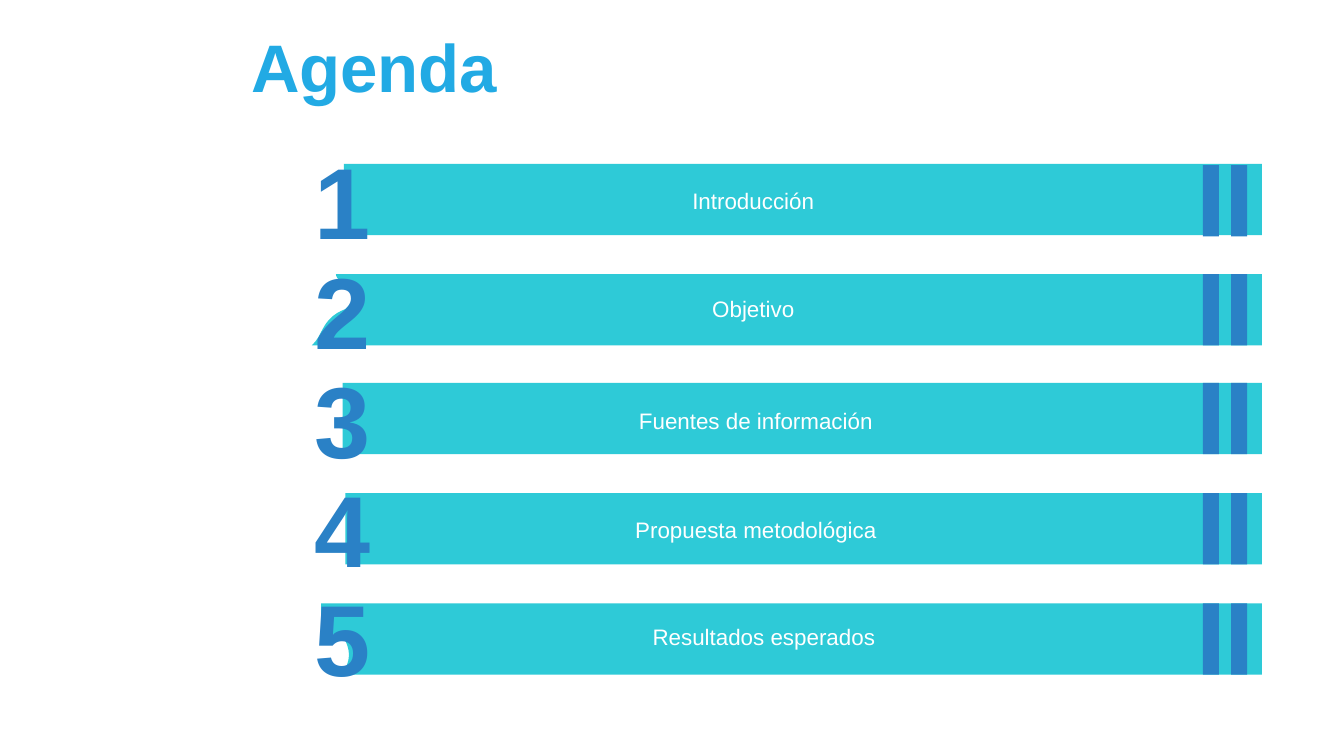
from pptx import Presentation
from pptx.dml.color import RGBColor
from pptx.enum.shapes import MSO_SHAPE as Shape
from pptx.enum.text import MSO_ANCHOR as Anchor, PP_ALIGN as Align
from pptx.util import Inches, Pt

TURQUOISE = RGBColor(0x2E, 0xCA, 0xD7)
BLUE = RGBColor(0x2A, 0x81, 0xC6)
SKY = RGBColor(0x22, 0xAA, 0xE4)
WHITE = RGBColor(0xFF, 0xFF, 0xFF)

WIDTH = 10
HEIGHT = WIDTH * 9 / 16
BAR_HEIGHT, BAR_RIGHT = 0.53, 9.39
STRIPE_COLUMNS, STRIPE_WIDTH = (9.16, 8.95), 0.12
NUMBER_LEFT, FIRST_NUMBER, LAST_NUMBER = 2.24, 0.98, 4.23

# Topic, left and top of the bar, top of the stripes, left and top of the label
TOPICS = [
    ("Introducción", 2.56, 1.22, 1.23, 2.87, 1.34),
    ("Objetivo", 2.32, 2.04, 2.04, 2.87, 2.15),
    ("Fuentes de información", 2.55, 2.85, 2.85, 2.89, 2.98),
    ("Propuesta metodológica", 2.57, 3.67, 3.67, 2.89, 3.79),
    ("Resultados esperados", 2.39, 4.49, 4.49, 2.95, 4.59),
]
NUMBER_STEP = (LAST_NUMBER - FIRST_NUMBER) / (len(TOPICS) - 1)


def bezier(start, control_1, control_2, end, steps=16):
    """Return the points after start along a cubic curve."""
    points = []
    for step in range(1, steps + 1):
        t = step / steps
        weights = ((1 - t) ** 3, 3 * t * (1 - t) ** 2, 3 * t * t * (1 - t), t ** 3)
        corners = (start, control_1, control_2, end)
        points.append(tuple(sum(w * corner[axis] for w, corner in zip(weights, corners))
                            for axis in (0, 1)))
    return points


# Outlines of the bars cut around a digit, measured from the top of the row
CUT_BARS = {
    2: [(2.5, 0), (BAR_RIGHT, 0), (BAR_RIGHT, BAR_HEIGHT), (2.32, BAR_HEIGHT),
        *bezier((2.32, BAR_HEIGHT), (2.41, 0.45), (2.39, 0.33), (2.57, 0.26)),
        *bezier((2.57, 0.26), (2.74, 0.1), (2.5, 0.08), (2.5, 0))],
    5: [(2.39, 0), (BAR_RIGHT, 0), (BAR_RIGHT, BAR_HEIGHT), (2.54, BAR_HEIGHT),
        *bezier((2.54, BAR_HEIGHT), (2.61, 0.44), (2.62, 0.34), (2.54, 0.23)),
        (2.39, 0.23)],
}


def paint(shape, color):
    shape.shadow.inherit = False
    shape.fill.solid()
    shape.fill.fore_color.rgb = color
    shape.line.fill.background()


def add_block(slide, left, top, width, color):
    block = slide.shapes.add_shape(Shape.RECTANGLE, Inches(left), Inches(top),
                                   Inches(width), Inches(BAR_HEIGHT))
    paint(block, color)


def add_cut_bar(slide, outline, top):
    points = [(Inches(x), Inches(top + y)) for x, y in outline]
    builder = slide.shapes.build_freeform(*points[0])
    builder.add_line_segments(points[1:], close=True)
    paint(builder.convert_to_shape(), TURQUOISE)


def add_bar(slide, number, left, top, stripe_top):
    if number in CUT_BARS:
        add_cut_bar(slide, CUT_BARS[number], top)
    else:
        add_block(slide, left, top, BAR_RIGHT - left, TURQUOISE)
    for column in STRIPE_COLUMNS:
        add_block(slide, column, stripe_top, STRIPE_WIDTH, BLUE)


def add_text(slide, text, box, size, color, bold=False,
             align=Align.CENTER, anchor=Anchor.MIDDLE):
    frame = slide.shapes.add_textbox(*map(Inches, box)).text_frame
    frame.word_wrap = True
    frame.vertical_anchor = anchor
    paragraph = frame.paragraphs[0]
    paragraph.text = text
    paragraph.alignment = align
    font = paragraph.font
    font.name, font.size, font.bold = "Arial", Pt(size), bold
    font.color.rgb = color


def main():
    presentation = Presentation()
    presentation.slide_width = Inches(WIDTH)
    presentation.slide_height = Inches(HEIGHT)
    slide = presentation.slides.add_slide(presentation.slide_layouts[6])

    for number, (_, left, top, stripe_top, _, _) in enumerate(TOPICS, 1):
        add_bar(slide, number, left, top, stripe_top)

    add_text(slide, "Agenda", (1.77, 0, 8.23, 0.97), 36, SKY, bold=True, align=Align.LEFT)
    for row, (topic, *_, left, top) in enumerate(TOPICS):
        number_top = FIRST_NUMBER + row * NUMBER_STEP
        add_text(slide, str(row + 1), (NUMBER_LEFT, number_top, 0.49, 1.01),
                 54, BLUE, bold=True)
        add_text(slide, topic, (left, top, 5.47, 0.3), 12, WHITE, anchor=Anchor.TOP)

    presentation.save("out.pptx")


if __name__ == "__main__":
    main()
